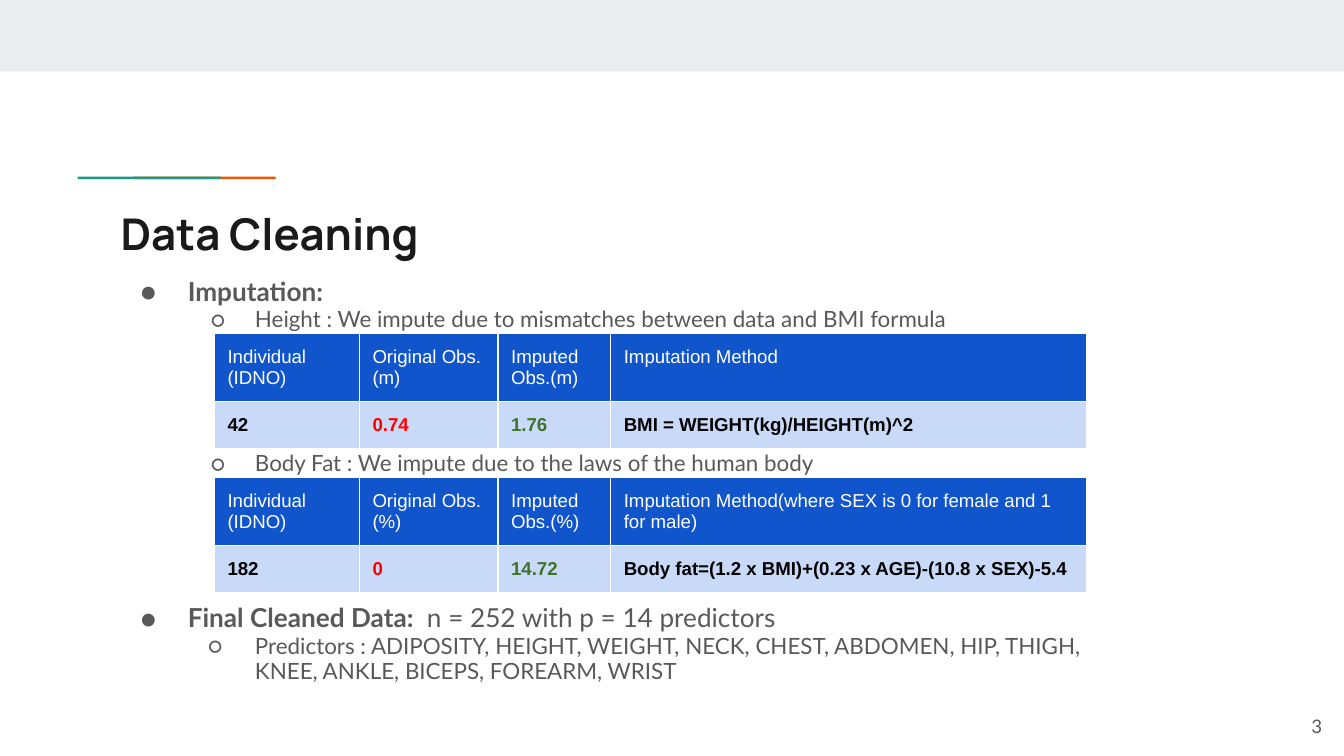
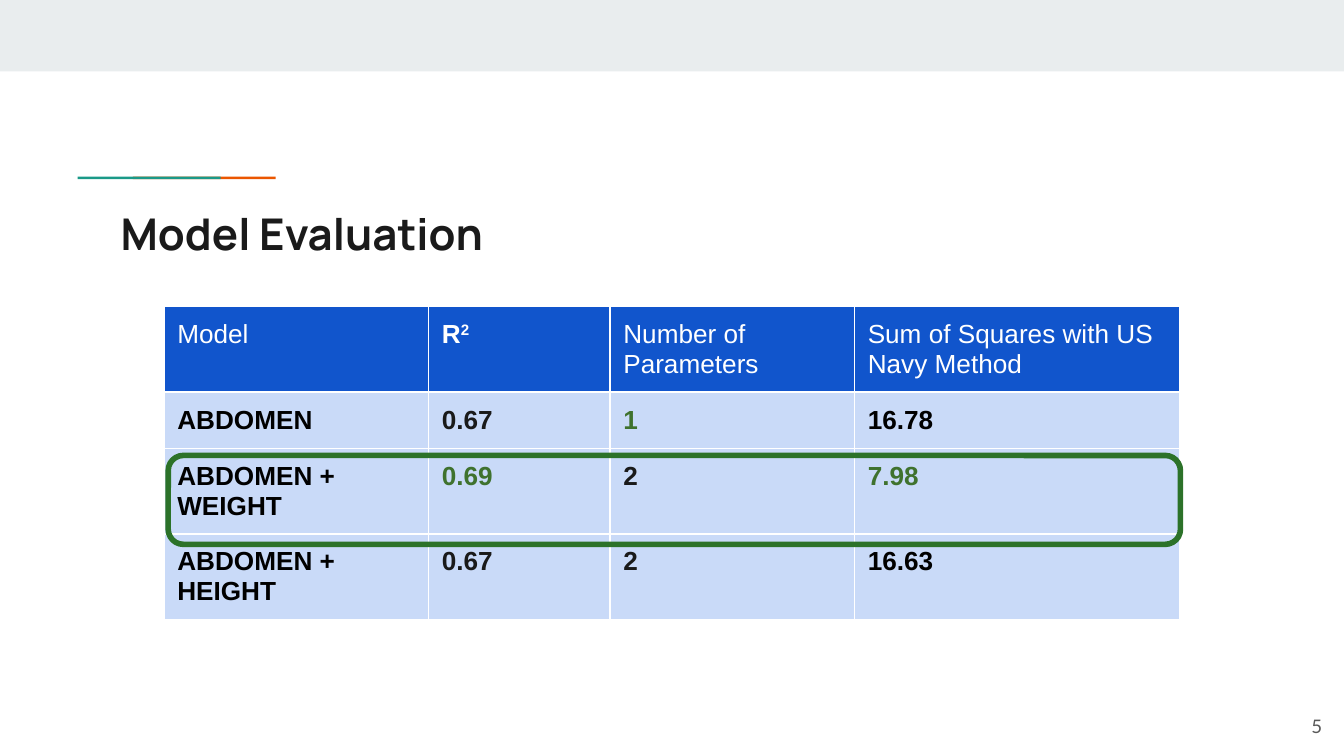
import dataclasses

import lxml.etree
import pptx
import pptx.dml.color
import pptx.enum.shapes
import pptx.enum.text
import pptx.oxml.ns
import pptx.util

Cm = pptx.util.Cm
Pt = pptx.util.Pt
Color = pptx.dml.color.RGBColor.from_string
Align = pptx.enum.text.PP_ALIGN
Anchor = pptx.enum.text.MSO_ANCHOR
Shape = pptx.enum.shapes.MSO_SHAPE


@dataclasses.dataclass(frozen=True)
class Theme:
    band: str = "E9EDEE"
    orange: str = "EB5600"
    teal: str = "1A9988"
    ink: str = "1A1A1A"
    body: str = "595959"
    white: str = "FFFFFF"
    black: str = "000000"
    header: str = "1155CC"
    row: str = "C9DAF8"
    bad: str = "FF0000"
    good: str = "3F722E"
    highlight: str = "2C7229"
    title_font: str = "Manrope"
    body_font: str = "Lato"
    table_font: str = "Arial"
    title_size: float = 23.4
    point_size: int = 14
    detail_size: int = 12
    small_size: int = 10
    large_size: int = 14


THEME = Theme()
TITLE_BOX = (2.03, 3.66, 21.36, 1.5)
NUMBER_BOX = (23.72, 13.18, 1.52, 1.09)
BODY_BOX = (2.03, 5, 18.72, 9.27)
INSET = 0.25

IMPUTATION_COLUMNS = (2.74, 2.62, 2.13, 9)
IMPUTATION_ROWS = (1.28, 0.88)
EVALUATION_COLUMNS = (5, 3.43, 4.62, 6.15)
EVALUATION_ROWS = (1.6, 1.07, 1.6, 1.6)


def apply(target, values):
    for name, value in values.items():
        setattr(target, name, value)


def lengths(box):
    return [Cm(value) for value in box]


def add_run(paragraph, text, font, size, color, bold=False):
    run = paragraph.add_run()
    run.text = text
    apply(run.font, {"name": font, "size": Pt(size), "bold": bold})
    run.font.color.rgb = Color(color)
    return run


def format_frame(frame, anchor=Anchor.TOP):
    margins = {f"margin_{side}": Cm(INSET) for side in ("left", "top", "right", "bottom")}
    apply(frame, {
        **margins,
        "word_wrap": True,
        "auto_size": pptx.enum.text.MSO_AUTO_SIZE.NONE,
        "vertical_anchor": anchor,
    })


def add_text_box(slide, box, anchor=Anchor.TOP):
    frame = slide.shapes.add_textbox(*lengths(box)).text_frame
    format_frame(frame, anchor)
    return frame


def add_bar(slide, box, color):
    bar = slide.shapes.add_shape(Shape.RECTANGLE, *lengths(box))
    bar.shadow.inherit = False
    bar.fill.solid()
    bar.fill.fore_color.rgb = Color(color)
    bar.line.fill.background()


def add_accent(slide, left, top):
    width, height, shift = 2.7, 0.05, 1.04
    add_bar(slide, (left + shift, top, width, height), THEME.orange)
    add_bar(slide, (left, top, width, height), THEME.teal)


def add_titled_slide(presentation, title, number):
    slide = presentation.slides.add_slide(presentation.slide_layouts[5])
    add_bar(slide, (0, 0, 25.4, 1.35), THEME.band)
    add_accent(slide, 1.47, 3.34)

    placeholder = slide.shapes.title
    apply(placeholder, dict(zip(("left", "top", "width", "height"), lengths(TITLE_BOX))))
    format_frame(placeholder.text_frame)
    paragraph = placeholder.text_frame.paragraphs[0]
    paragraph.alignment = Align.LEFT
    add_run(paragraph, title, THEME.title_font, THEME.title_size, THEME.ink, True)

    paragraph = add_text_box(slide, NUMBER_BOX, Anchor.MIDDLE).paragraphs[0]
    paragraph.alignment = Align.RIGHT
    add_run(paragraph, number, THEME.body_font, THEME.small_size, THEME.body)
    return slide


def add_bullet(paragraph, symbol, left, hanging):
    properties = paragraph._p.get_or_add_pPr()
    properties.set("marL", str(Cm(left)))
    properties.set("indent", str(-Cm(hanging)))
    color = lxml.etree.SubElement(properties, pptx.oxml.ns.qn("a:buClr"))
    lxml.etree.SubElement(color, pptx.oxml.ns.qn("a:srgbClr"), val=THEME.body)
    lxml.etree.SubElement(properties, pptx.oxml.ns.qn("a:buFont"), typeface=THEME.body_font)
    lxml.etree.SubElement(properties, pptx.oxml.ns.qn("a:buChar"), char=symbol)


def add_outline(slide, box, items):
    frame = add_text_box(slide, box)
    for index, (level, hanging, space_before, runs) in enumerate(items):
        paragraph = frame.add_paragraph() if index else frame.paragraphs[0]
        apply(paragraph, {
            "level": level,
            "line_spacing": 0.95,
            "space_before": Pt(space_before),
            "alignment": Align.LEFT,
        })
        add_bullet(paragraph, "●○"[level], 1.27 * (level + 1), hanging)
        size = (THEME.point_size, THEME.detail_size)[level]
        for text, bold in runs:
            add_run(paragraph, text, THEME.body_font, size, THEME.body, bold)


def add_borders(cell):
    properties = cell._tc.get_or_add_tcPr()
    for side in ("lnL", "lnR", "lnT", "lnB"):
        line = lxml.etree.SubElement(
            properties, pptx.oxml.ns.qn(f"a:{side}"), w=str(Pt(0.75))
        )
        fill = lxml.etree.SubElement(line, pptx.oxml.ns.qn("a:solidFill"))
        lxml.etree.SubElement(fill, pptx.oxml.ns.qn("a:srgbClr"), val=THEME.white)


def format_cell(cell, fill):
    margins = {f"margin_{side}": Cm(INSET) for side in ("left", "top", "right", "bottom")}
    apply(cell, {**margins, "vertical_anchor": Anchor.TOP})
    add_borders(cell)
    cell.fill.solid()
    cell.fill.fore_color.rgb = Color(fill)


def add_data_table(slide, left, top, columns, rows, size, header, records):
    box = (left, top, sum(columns), sum(rows))
    table = slide.shapes.add_table(len(rows), len(columns), *lengths(box)).table
    for column, width in zip(table.columns, columns):
        column.width = Cm(width)
    for row, height in zip(table.rows, rows):
        row.height = Cm(height)

    for index, text in enumerate(header):
        cell = table.cell(0, index)
        format_cell(cell, THEME.header)
        for line_index, line in enumerate(text.split("\n")):
            frame = cell.text_frame
            paragraph = frame.add_paragraph() if line_index else frame.paragraphs[0]
            add_run(paragraph, line, THEME.table_font, size, THEME.white)

    for row_index, record in enumerate(records, 1):
        for index, (text, color) in enumerate(record):
            cell = table.cell(row_index, index)
            format_cell(cell, THEME.row)
            paragraph = cell.text_frame.paragraphs[0]
            add_run(paragraph, text, THEME.table_font, size, color, True)
    return table


def add_imputation_table(slide, top, unit, method, values):
    header = ("Individual\n(IDNO)", f"Original Obs. ({unit})", f"Imputed Obs.({unit})", method)
    colors = (THEME.black, THEME.bad, THEME.good, THEME.black)
    add_data_table(
        slide, 4.05, top, IMPUTATION_COLUMNS, IMPUTATION_ROWS,
        THEME.small_size, header, [tuple(zip(values, colors))],
    )


def build_cleaning_slide(presentation):
    slide = add_titled_slide(presentation, "Data Cleaning", "3")
    add_outline(slide, BODY_BOX, [
        (0, 0.89, 0, [("Imputation:", True)]),
        (1, 0.84, 0, [("Height : We impute due to mismatches between data and BMI formula", False)]),
        (1, 0.84, 63.4, [("Body Fat : We impute due to the laws of the human body", False)]),
        (0, 0.89, 68, [("Final Cleaned Data: ", True), (" n = 252 with p = 14 predictors", False)]),
        (1, 0.89, 0, [(
            "Predictors : ADIPOSITY, HEIGHT, WEIGHT, NECK, CHEST, ABDOMEN, HIP, "
            "THIGH, KNEE, ANKLE, BICEPS, FOREARM, WRIST", False,
        )]),
    ])
    add_imputation_table(
        slide, 6.3, "m", "Imputation Method",
        ("42", "0.74", "1.76", "BMI = WEIGHT(kg)/HEIGHT(m)^2"),
    )
    add_imputation_table(
        slide, 9.02, "%", "Imputation Method(where SEX is 0 for female and 1 for male)",
        ("182", "0", "14.72", "Body fat=(1.2 x BMI)+(0.23 x AGE)-(10.8 x SEX)-5.4"),
    )


def add_highlight(slide, box):
    highlight = slide.shapes.add_shape(Shape.ROUNDED_RECTANGLE, *lengths(box))
    highlight.shadow.inherit = False
    highlight.adjustments[0] = 0.17
    highlight.fill.background()
    highlight.line.color.rgb = Color(THEME.highlight)
    highlight.line.width = Pt(3)


def build_evaluation_slide(presentation):
    slide = add_titled_slide(presentation, "Model Evaluation", "5")
    header = ("Model", "", "Number of Parameters", "Sum of Squares with US Navy Method")
    black, ink, good = THEME.black, THEME.ink, THEME.good
    records = [
        (("ABDOMEN", black), ("0.67", ink), ("1", good), ("16.78", black)),
        (("ABDOMEN + WEIGHT", black), ("0.69", good), ("2", ink), ("7.98", good)),
        (("ABDOMEN + HEIGHT", black), ("0.67", ink), ("2", ink), ("16.63", black)),
    ]
    table = add_data_table(
        slide, 3.1, 5.8, EVALUATION_COLUMNS, EVALUATION_ROWS,
        THEME.large_size, header, records,
    )
    paragraph = table.cell(0, 1).text_frame.paragraphs[0]
    paragraph.clear()
    for text, baseline in (("R", 0), ("2", 30000)):
        run = add_run(paragraph, text, THEME.table_font, THEME.large_size, THEME.white, True)
        run._r.get_or_add_rPr().set("baseline", str(baseline))
    add_highlight(slide, (3.18, 8.61, 19.13, 1.68))


def main():
    presentation = pptx.Presentation()
    apply(presentation, {"slide_width": Cm(25.4), "slide_height": Cm(14.29)})
    build_cleaning_slide(presentation)
    build_evaluation_slide(presentation)
    presentation.save("out.pptx")


if __name__ == "__main__":
    main()
